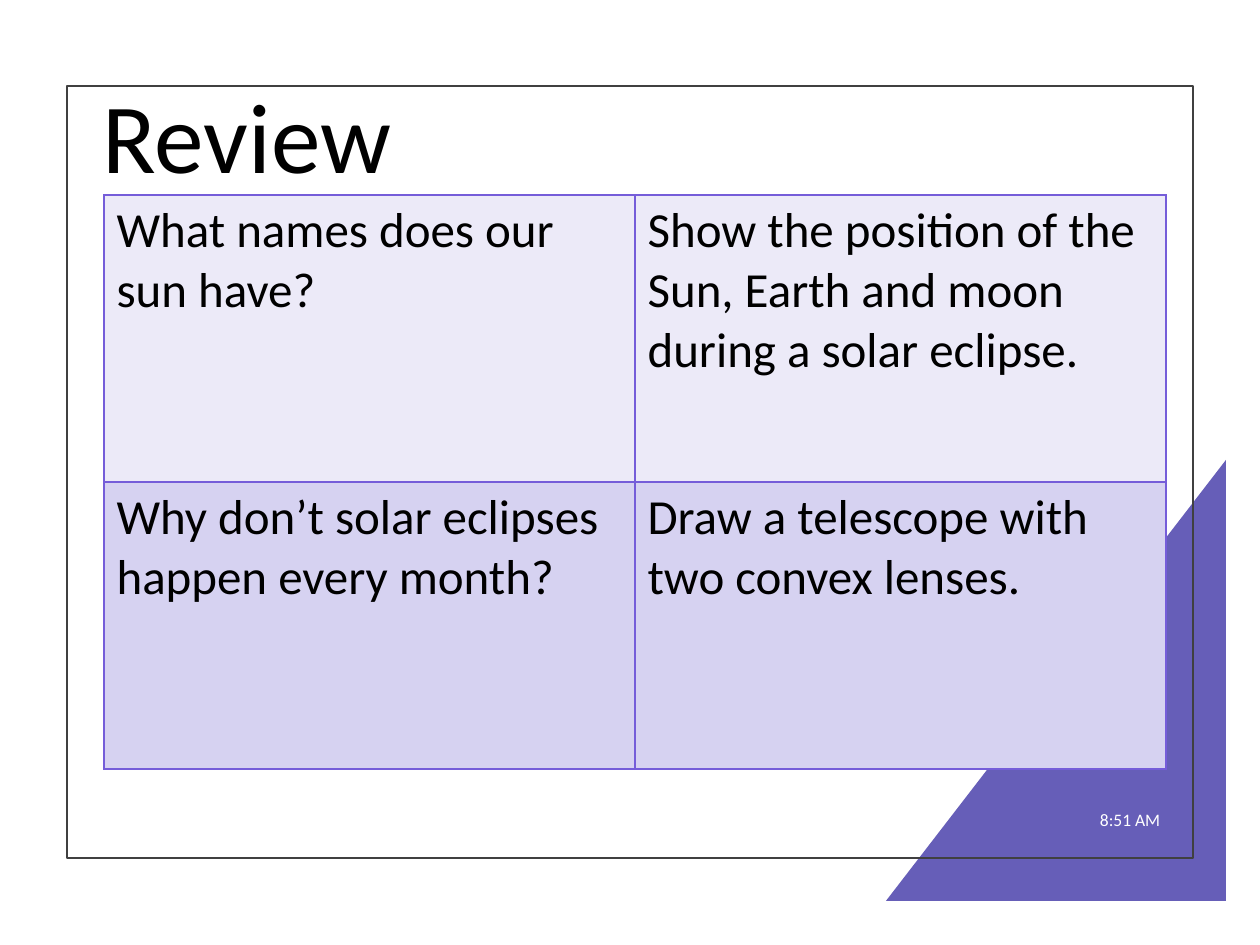
from lxml import etree
from pptx import Presentation, util as u
from pptx.dml.color import RGBColor
from pptx.enum import shapes, text
from pptx.oxml import ns

PX = u.Inches(1) / 126


def px(*lengths):
    """Turn px lengths into EMU."""
    return [u.Emu(round(length * PX)) for length in lengths]


def color(value):
    return RGBColor.from_string(value)


deck = Presentation()
deck.slide_width, deck.slide_height = px(1260, 945)
page = deck.slides.add_slide(deck.slide_layouts[6])

# Corner triangle, with the right angle at bottom right
corner = page.shapes.add_shape(shapes.MSO_SHAPE.RIGHT_TRIANGLE, *px(886, 460, 340, 441))
corner.shadow.inherit = False
corner.fill.solid()
corner.fill.fore_color.rgb = color("665EB8")
corner.line.fill.background()
corner._element.spPr.find(ns.qn("a:xfrm")).set("flipH", "1")

frame = page.shapes.add_shape(shapes.MSO_SHAPE.RECTANGLE, *px(67, 86, 1126, 772))
frame.shadow.inherit = False
frame.fill.background()
frame.line.color.rgb = color("404040")
frame.line.width = u.Pt(1.5)

# Title and time
labels = [
    ("Review", (95, 95, 863, 93), 8, 56.7, "000000", text.PP_ALIGN.LEFT, 0.9),
    ("8:51 AM", (934, 795, 239, 50), 13, 10, "FFFFFF", text.PP_ALIGN.RIGHT, 1.0),
]
for words, place, inset, size, ink, align, spacing in labels:
    box = page.shapes.add_textbox(*px(*place)).text_frame
    box.word_wrap = True
    box.vertical_anchor = text.MSO_ANCHOR.MIDDLE
    box.margin_left, box.margin_right = px(inset, inset)
    para = box.paragraphs[0]
    para.alignment = align
    para.line_spacing = spacing
    span = para.add_run()
    span.text = words
    span.font.name = "Calibri"
    span.font.size = u.Pt(size)
    span.font.color.rgb = color(ink)

# Question grid
questions = [
    ("ECEAF8", ["What names does our sun have?",
                "Show the position of the Sun, Earth and moon during a solar eclipse."]),
    ("D6D2F1", ["Why don’t solar eclipses happen every month?",
                "Draw a telescope with two convex lenses."]),
]
grid = page.shapes.add_table(2, 2, *px(104, 195, 1062, 574)).table
grid.first_row = False
grid.horz_banding = False
for row, (shade, prompts) in enumerate(questions):
    for column, prompt in enumerate(prompts):
        cell = grid.cell(row, column)
        span = cell.text_frame.paragraphs[0].add_run()
        span.text = prompt
        span.font.name = "Calibri"
        span.font.size = u.Pt(28)
        span.font.color.rgb = color("000000")
        cell.fill.solid()
        cell.fill.fore_color.rgb = color(shade)
        # Borders come before the fill in the cell properties
        props = cell._tc.get_or_add_tcPr()
        for place, side in enumerate(("lnL", "lnR", "lnT", "lnB")):
            border = etree.Element(ns.qn(f"a:{side}"), w=str(u.Pt(1)))
            paint = etree.SubElement(border, ns.qn("a:solidFill"))
            etree.SubElement(paint, ns.qn("a:srgbClr"), val="755DD9")
            props.insert(place, border)

deck.save("out.pptx")
